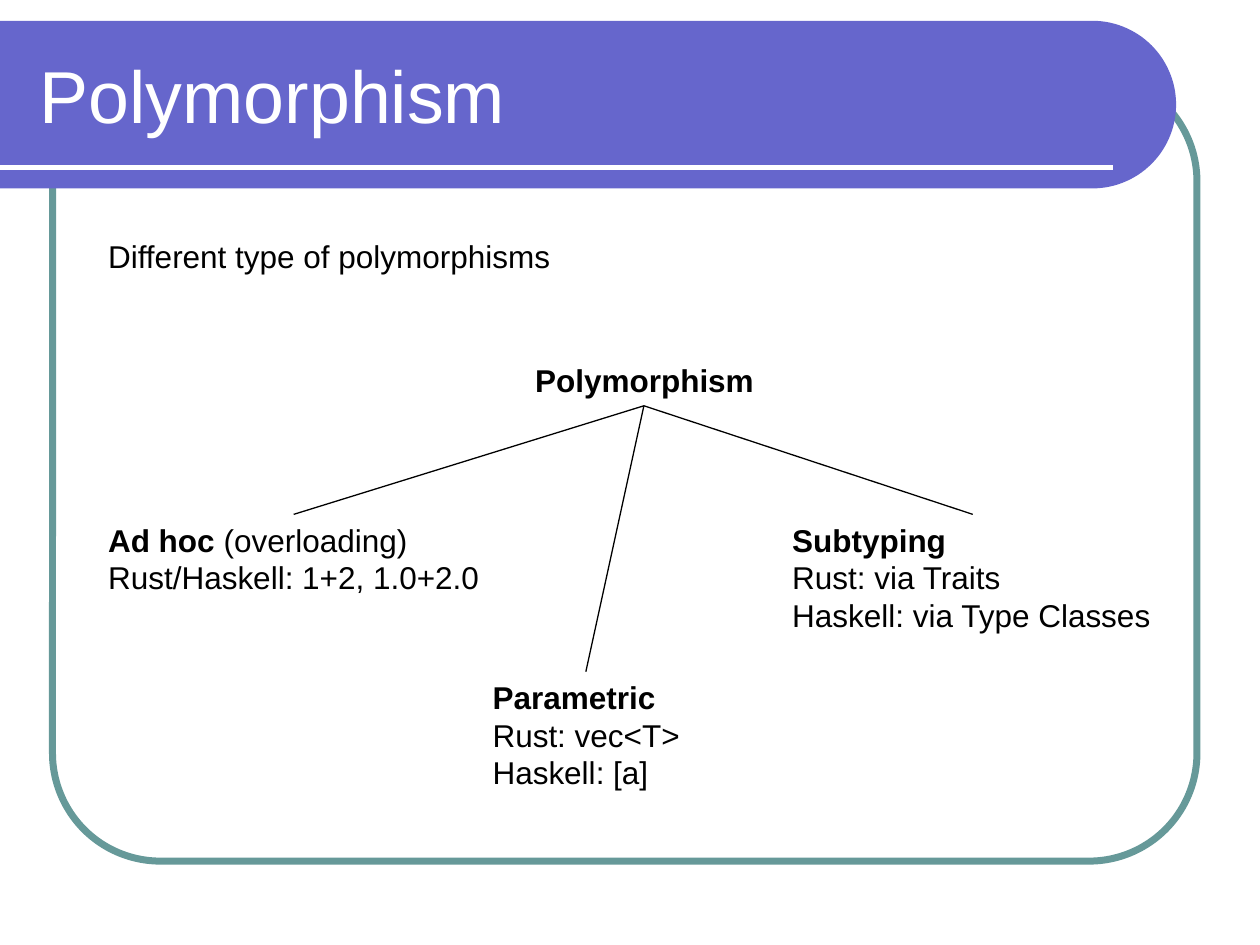
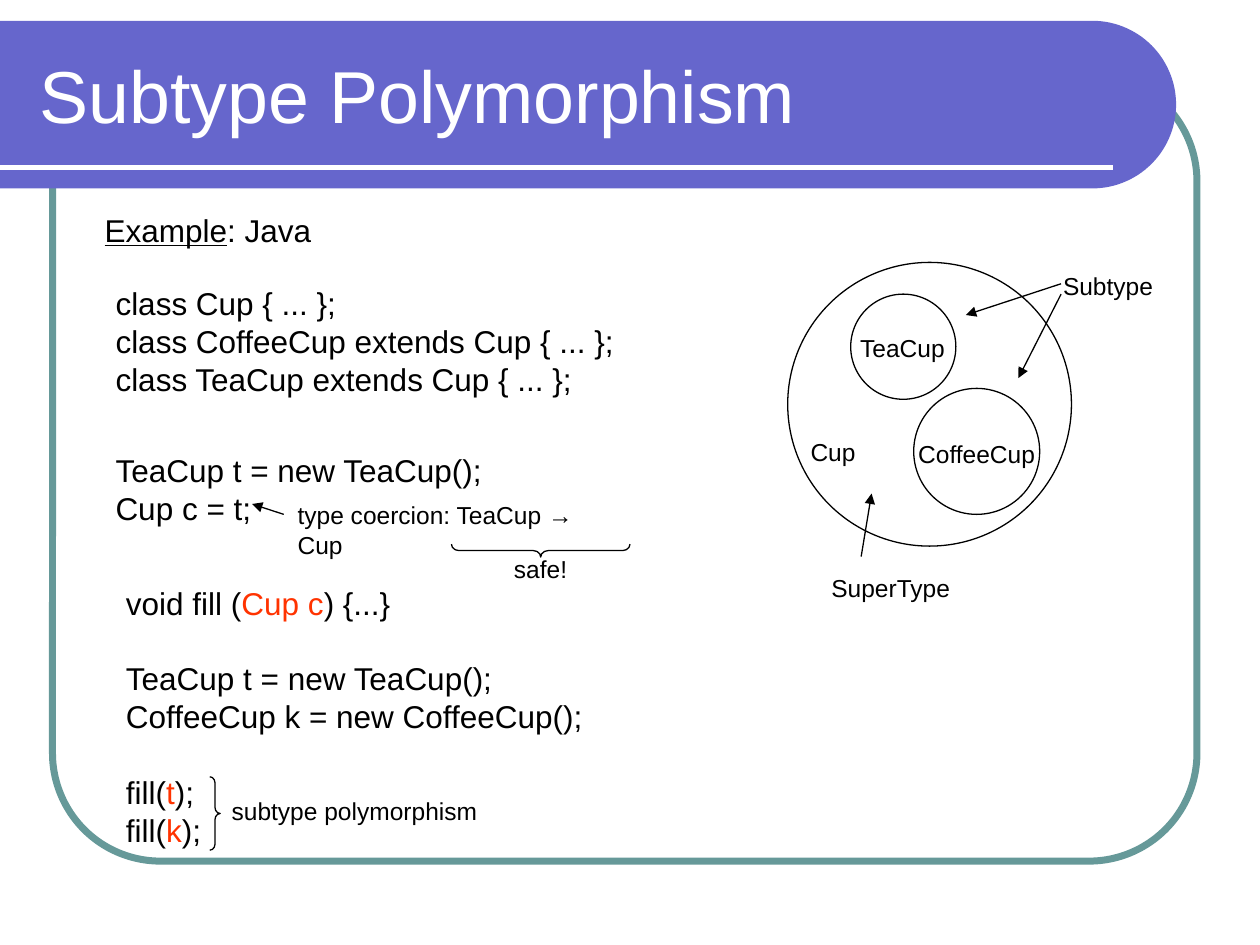
import math
from dataclasses import dataclass

import pptx
import pptx.util
from lxml import etree
from pptx.dml.color import RGBColor
from pptx.enum.shapes import MSO_CONNECTOR, MSO_SHAPE
from pptx.enum.text import MSO_ANCHOR, MSO_AUTO_SIZE
from pptx.oxml.ns import qn

Cm = pptx.util.Cm
Pt = pptx.util.Pt


@dataclass(frozen=True)
class Theme:
    font: str = "Arial"
    band: RGBColor = RGBColor(0x66, 0x66, 0xCC)
    frame: RGBColor = RGBColor(0x66, 0x99, 0x99)
    ink: RGBColor = RGBColor(0, 0, 0)
    paper: RGBColor = RGBColor(0xFF, 0xFF, 0xFF)
    accent: RGBColor = RGBColor(0xFF, 0x33, 0x00)
    title: float = 42
    body: float = 18
    label: float = 14
    hairline: float = 0.75
    rule: float = 3
    border: float = 4
    blank_line: float = 21.7
    slack: float = 0.15


THEME = Theme()


@dataclass(frozen=True)
class Span:
    text: str
    bold: bool = False
    underline: bool = False
    accent: bool = False


@dataclass(frozen=True)
class Line:
    spans: tuple[Span, ...]
    gap: bool = False


@dataclass(frozen=True)
class Note:
    left: float
    top: float
    width: float
    lines: tuple[Line, ...]
    size: float = THEME.body


@dataclass(frozen=True)
class Link:
    x1: float
    y1: float
    x2: float
    y2: float
    arrow: bool = False


@dataclass(frozen=True)
class Outline:
    kind: MSO_SHAPE
    left: float
    top: float
    width: float
    height: float
    adjust: float | None = None
    rotation: float = 0


def line(*parts: str | Span, gap: bool = False) -> Line:
    return Line(tuple(Span(s) if isinstance(s, str) else s for s in parts), gap)


def bold(text: str) -> Span:
    return Span(text, bold=True)


def red(text: str) -> Span:
    return Span(text, accent=True)


def label(left: float, top: float, width: float, text: str) -> Note:
    return Note(left, top, width, (line(text),), THEME.label)


def circle(left: float, top: float, size: float) -> Outline:
    return Outline(MSO_SHAPE.OVAL, left, top, size, size)


def style_paragraph(p, size: float, color: RGBColor) -> None:
    p.font.name = THEME.font
    p.font.size = Pt(size)
    p.font.color.rgb = color


def draw_note(slide, note: Note) -> None:
    rows = len(note.lines) + sum(item.gap for item in note.lines)
    height = 0.25 + 0.0425 * note.size * rows
    sp = slide.shapes.add_textbox(Cm(note.left), Cm(note.top),
                                  Cm(note.width + THEME.slack), Cm(height))
    tf = sp.text_frame
    tf.word_wrap = True
    tf.auto_size = MSO_AUTO_SIZE.SHAPE_TO_FIT_TEXT
    for i, item in enumerate(note.lines):
        p = tf.add_paragraph() if i else tf.paragraphs[0]
        style_paragraph(p, note.size, THEME.ink)
        if item.gap:
            p.space_before = Pt(THEME.blank_line)
        for span in item.spans:
            r = p.add_run()
            r.text = span.text
            if span.bold:
                r.font.bold = True
            if span.underline:
                r.font.underline = True
            if span.accent:
                r.font.color.rgb = THEME.accent


def draw_link(slide, link: Link, color: RGBColor = THEME.ink, width: float = THEME.hairline) -> None:
    cxn = slide.shapes.add_connector(
        MSO_CONNECTOR.STRAIGHT, Cm(link.x1), Cm(link.y1), Cm(link.x2), Cm(link.y2))
    cxn.line.color.rgb = color
    cxn.line.width = Pt(width)
    if link.arrow:
        etree.SubElement(cxn.line._get_or_add_ln(), qn("a:tailEnd"), type="triangle")
    etree.SubElement(cxn._element.spPr, qn("a:effectLst"))


def draw_outline(slide, outline: Outline, color: RGBColor = THEME.ink,
                 width: float = THEME.hairline) -> None:
    sp = slide.shapes.add_shape(outline.kind, Cm(outline.left), Cm(outline.top),
                                Cm(outline.width), Cm(outline.height))
    sp.shadow.inherit = False
    sp.fill.background()
    sp.line.color.rgb = color
    sp.line.width = Pt(width)
    sp.rotation = outline.rotation
    if outline.adjust is not None:
        sp.adjustments[0] = outline.adjust


def draw_band(slide, top: float, right: float, radius: float) -> None:
    center = right - radius
    angles = [math.radians(a) for a in range(-90, 91, 3)]
    arc = [(Cm(center + radius * math.cos(a)), Cm(top + radius + radius * math.sin(a)))
           for a in angles]
    builder = slide.shapes.build_freeform(0, Cm(top))
    builder.add_line_segments(arc + [(0, Cm(top + 2 * radius))], close=True)
    sp = builder.convert_to_shape()
    sp.shadow.inherit = False
    sp.fill.solid()
    sp.fill.fore_color.rgb = THEME.band
    sp.line.fill.background()


def add_slide(prs, title: str):
    slide = prs.slides.add_slide(prs.slide_layouts[6])
    draw_outline(slide, Outline(MSO_SHAPE.ROUNDED_RECTANGLE, 1.06, 1.48, 23.07, 15.88, 0.137),
                 THEME.frame, THEME.border)
    draw_band(slide, 0.42, 23.71, 1.69)
    draw_link(slide, Link(0, 3.38, 22.44, 3.38), THEME.paper, THEME.rule)
    tf = slide.shapes.add_textbox(Cm(0.55), Cm(0.62), Cm(22.28), Cm(2.54)).text_frame
    tf.word_wrap = True
    tf.vertical_anchor = MSO_ANCHOR.MIDDLE
    p = tf.paragraphs[0]
    p.add_run().text = title
    style_paragraph(p, THEME.title, THEME.paper)
    return slide


def build_polymorphism(prs) -> None:
    slide = add_slide(prs, "Polymorphism")
    notes = (
        Note(1.93, 4.65, 9.42, (line("Different type of polymorphisms"),)),
        Note(10.54, 7.16, 4.9, (line(bold("Polymorphism")),)),
        Note(1.93, 10.37, 7.98, (line(bold("Ad hoc "), "(overloading)"),
                                 line("Rust/Haskell: 1+2, 1.0+2.0"))),
        Note(9.68, 13.54, 4.27, (line(bold("Parametric")), line("Rust: vec<T>"),
                                 line("Haskell: [a]"))),
        Note(15.72, 10.37, 7.77, (line(bold("Subtyping")), line("Rust: via Traits"),
                                  line("Haskell: via Type Classes"))),
    )
    for note in notes:
        draw_note(slide, note)
    for x, y in ((5.92, 10.37), (11.81, 13.54), (19.61, 10.37)):
        draw_link(slide, Link(12.98, 8.18, x, y))


def build_subtype(prs) -> None:
    slide = add_slide(prs, "Subtype Polymorphism")
    outlines = (
        circle(15.88, 5.29, 5.72),
        circle(17.15, 5.93, 2.12),
        circle(18.42, 7.83, 2.54),
        Outline(MSO_SHAPE.RIGHT_BRACE, 4.23, 15.66, 0.21, 1.48, 0.58),
        Outline(MSO_SHAPE.RIGHT_BRACE, 10.77, 9.3, 0.26, 3.6, 0.58, 90),
    )
    notes = (
        Note(1.86, 4.12, 4.67, (line(Span("Example", underline=True), ": Java"),)),
        Note(2.08, 5.61, 10.57, (line("class Cup { ... };"),
                                 line("class CoffeeCup extends Cup { ... };"),
                                 line("class TeaCup extends Cup { ... };"))),
        Note(2.08, 8.97, 8.03, (line("TeaCup t = new TeaCup();"), line("Cup c = t;"))),
        Note(2.29, 11.64, 9.73, (line("void fill (", red("Cup c"), ") {...}"),
                                 line("TeaCup t = new TeaCup();", gap=True),
                                 line("CoffeeCup k = new CoffeeCup();"),
                                 line("fill(", red("t"), ");", gap=True),
                                 line("fill(", red("k"), ");"))),
        label(17.09, 6.59, 2.26, "TeaCup"),
        label(18.26, 8.72, 2.87, "CoffeeCup"),
        label(16.09, 8.69, 1.42, "Cup"),
        label(16.51, 11.43, 2.92, "SuperType"),
        label(21.18, 5.33, 2.31, "Subtype"),
        label(4.42, 15.93, 5.46, "subtype polymorphism"),
        label(5.75, 9.96, 6.7, "type coercion: TeaCup → Cup"),
        label(10.11, 11.05, 1.57, "safe!"),
    )
    arrows = (
        Link(21.39, 5.72, 19.47, 6.35, True),
        Link(21.39, 5.93, 20.53, 7.62, True),
        Link(17.36, 11.22, 17.57, 9.95, True),
        Link(5.72, 10.37, 5.08, 10.16, True),
    )
    for outline in outlines:
        draw_outline(slide, outline)
    for note in notes:
        draw_note(slide, note)
    for arrow in arrows:
        draw_link(slide, arrow)


def main() -> None:
    prs = pptx.Presentation()
    prs.slide_width = Cm(25.4)
    prs.slide_height = Cm(19.05)
    build_polymorphism(prs)
    build_subtype(prs)
    prs.save("out.pptx")


if __name__ == "__main__":
    main()
